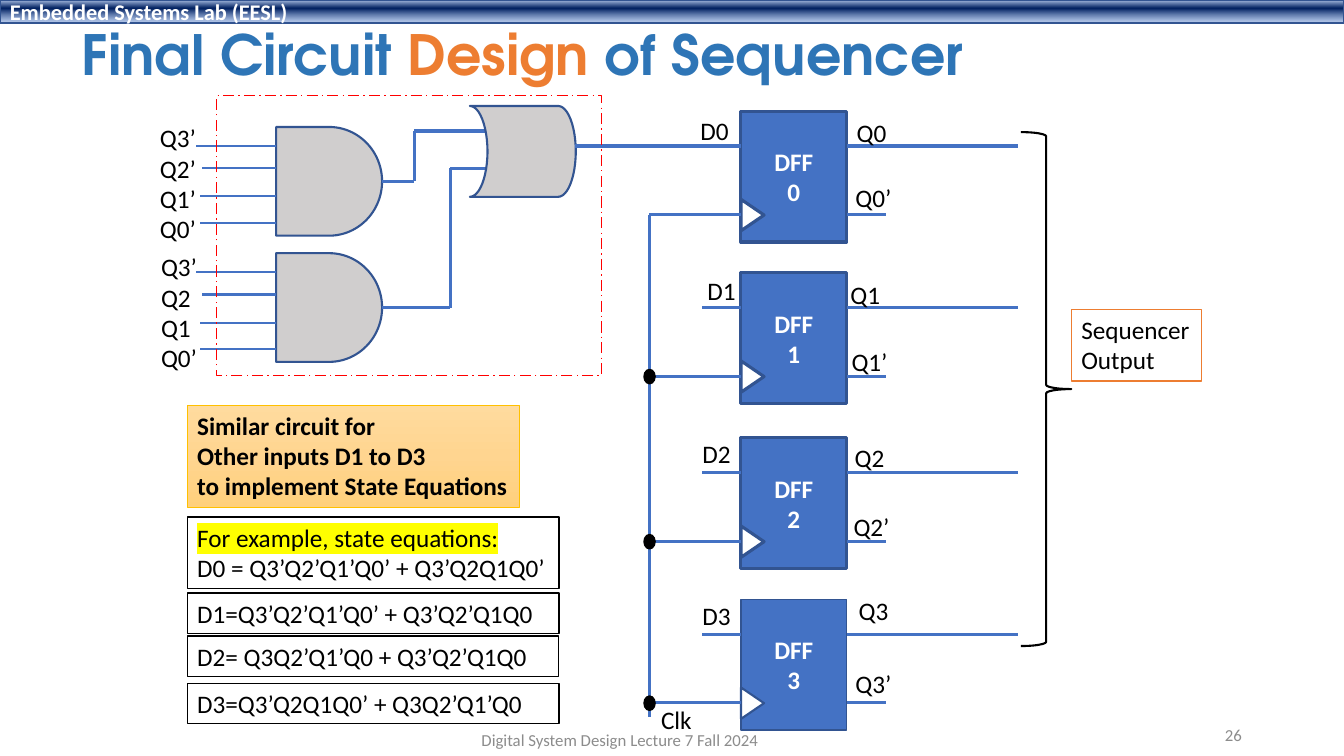
from copy import deepcopy
from lxml.etree import SubElement
from pptx import Presentation
from pptx.dml.color import RGBColor
from pptx.enum.dml import MSO_LINE
from pptx.enum.shapes import MSO_CONNECTOR, MSO_SHAPE
from pptx.enum.text import MSO_ANCHOR, MSO_AUTO_SIZE, PP_ALIGN
from pptx.oxml.ns import qn
from pptx.util import Cm, Pt

COLORS = {
    "wire": "4472C4", "edge": "325491", "gate": "D0CECE", "black": "000000",
    "white": "FFFFFF", "red": "FF0000", "orange": "ED7D31", "title": "2E75B6",
    "gold": "FFC000", "gray": "8C8C8C", "yellow": "FFFF00",
    "header_top": "ABC0E4", "header_mid": "002060", "header_low": "7E9ED6",
    "note_top": "FFDB9E", "note_mid": "FFD590", "note_low": "FFD07C",
}
RGB = {name: RGBColor.from_string(value) for name, value in COLORS.items()}
BODY = {"name": "Calibri", "size": Pt(18), "bold": False}
STRONG = {**BODY, "bold": True}
HEADER = {**STRONG, "size": Pt(16)}
SMALL = {**BODY, "size": Pt(12)}
TITLE = {"name": "TeX Gyre Adventor", "size": Pt(39.6), "bold": True}

prs = Presentation()
prs.slide_width, prs.slide_height = Cm(33.87), Cm(19.05)
slide = prs.slides.add_slide(prs.slide_layouts[5])


def place(geometry, box, lines=(), fill=None, outline=None, weight=1, font=BODY,
          color="black", align=PP_ALIGN.LEFT, anchor=MSO_ANCHOR.TOP, wrap=False):
    box = [Cm(length) for length in box]
    if geometry is None:
        part = slide.shapes.add_textbox(*box)
    else:
        part = slide.shapes.add_shape(geometry, *box)
    part.shadow.inherit = False
    if fill:
        part.fill.solid()
        part.fill.fore_color.rgb = RGB[fill]
    else:
        part.fill.background()
    if outline:
        part.line.color.rgb = RGB[outline]
        part.line.width = Pt(weight)
    else:
        part.line.fill.background()
    frame = part.text_frame
    frame.word_wrap = wrap
    frame.vertical_anchor = anchor
    if lines:
        frame.auto_size = MSO_AUTO_SIZE.NONE if wrap else MSO_AUTO_SIZE.SHAPE_TO_FIT_TEXT
    for index, line in enumerate(lines):
        paragraph = frame.add_paragraph() if index else frame.paragraphs[0]
        paragraph.alignment = align
        run = paragraph.add_run()
        run.text = line
        run.font.color.rgb = RGB[color]
        for attribute, value in font.items():
            setattr(run.font, attribute, value)
    return part


def wire(x1, y1, x2, y2, weight=2.25):
    link = slide.shapes.add_connector(MSO_CONNECTOR.STRAIGHT, Cm(x1), Cm(y1), Cm(x2), Cm(y2))
    link.line.color.rgb = RGB["wire"]
    link.line.width = Pt(weight)
    SubElement(link._element.spPr, qn("a:effectLst"))
    return link


header = place(MSO_SHAPE.RECTANGLE, (0, 0, 33.87, 0.58), ["Embedded Systems Lab (EESL)"],
               outline="edge", font=HEADER, color="white", anchor=MSO_ANCHOR.MIDDLE, wrap=True)

title = slide.shapes.title
title.left, title.top, title.width, title.height = Cm(1.8), Cm(0.43), Cm(25.73), Cm(2.06)
title.text_frame.auto_size = MSO_AUTO_SIZE.NONE
title.text_frame.vertical_anchor = MSO_ANCHOR.MIDDLE
heading = title.text_frame.paragraphs[0]
heading.alignment = PP_ALIGN.LEFT
heading.line_spacing = 0.9
for words, color in (("Final Circuit ", "title"), ("Design ", "orange"), ("of Sequencer", "title")):
    run = heading.add_run()
    run.text = words
    run.font.color.rgb = RGB[color]
    for attribute, value in TITLE.items():
        setattr(run.font, attribute, value)

for gate_top, label_left, label_top, inputs, bend_x, or_y in (
    (3.2, 3.78, 2.97, ["Q3’", "Q2’", "Q1’", "Q0’"], 10.44, 3.3),
    (6.38, 3.81, 6.22, ["Q3’", "Q2", "Q1", "Q0’"], 11.35, 4.24),
):
    and_gate = place(MSO_SHAPE.FLOWCHART_DELAY, (6.96, gate_top, 2.67, 2.74),
                     fill="gate", outline="edge", weight=1.5)
    for start, drop in ((4.95, 0.48), (5.08, 1.04), (5.05, 1.75), (5.05, 2.41)):
        wire(6.96, gate_top + drop, start, gate_top + drop, 1.5)
    place(None, (label_left, label_top, 1.42, 3.33), inputs)
    middle = gate_top + 1.37
    wire(9.63, middle, bend_x, middle).begin_connect(and_gate, 3)
    wire(bend_x, middle, bend_x, or_y)
    wire(bend_x, or_y, 12.24, or_y)

or_gate = place(MSO_SHAPE.FLOWCHART_STORED_DATA, (11.84, 2.67, 2.67, 2.29),
                fill="gate", outline="edge", weight=1.5)
or_gate.rotation = 180
wire(14.5, 3.68, 18.31, 3.68)
logic_border = place(MSO_SHAPE.RECTANGLE, (5.46, 2.41, 9.7, 7.06), outline="red")
logic_border.line.dash_style = MSO_LINE.LONG_DASH_DOT

wire(16.36, 5.41, 16.36, 18.08)
for number, (data_y, edge, tip_edge) in enumerate(
    ((3.68, 2.25, 2.25), (7.75, 2.25, 2.25), (11.91, 2.25, 2.25), (15.98, 1, 1.5))
):
    clock_y = data_y + 1.73
    place(MSO_SHAPE.RECTANGLE, (18.67, data_y - 0.88, 2.67, 3.3), ["DFF", str(number)],
          fill="wire", outline="edge", weight=edge, font=STRONG, color="white",
          align=PP_ALIGN.CENTER, anchor=MSO_ANCHOR.MIDDLE, wrap=True)
    clock_tip = place(MSO_SHAPE.ISOSCELES_TRIANGLE, (18.57, clock_y - 0.28, 0.79, 0.58),
                      fill="white", outline="edge", weight=tip_edge)
    clock_tip.rotation = 90
    for start, end, y in ((17.7, 18.67, data_y), (17.7, 18.67, clock_y),
                          (21.34, 22.33, data_y), (21.34, 22.33, clock_y),
                          (25.65, 22.33, data_y), (17.7, 16.36, clock_y)):
        wire(start, y, end, y)
    if number:
        place(MSO_SHAPE.OVAL, (16.23, clock_y - 0.17, 0.28, 0.36), fill="black", outline="black")

for label, left, top, width in (
    ("D0", 17.4, 2.77, 1.24), ("Q0", 21.34, 2.82, 1.27), ("Q0’", 21.31, 4.47, 1.42),
    ("D1", 17.58, 6.81, 1.24), ("Q1", 21.18, 6.91, 1.27), ("Q1’", 21.21, 8.59, 1.42),
    ("D2", 17.45, 10.92, 1.24), ("Q2", 21.29, 11.02, 1.27), ("Q2’", 21.26, 12.75, 1.42),
    ("D3", 17.45, 15.01, 1.24), ("Q3", 21.39, 14.88, 1.27), ("Q3’", 21.31, 16.71, 1.42),
    ("Clk", 16.41, 17.63, 1.3),
):
    place(None, (left, top, width, 1.02), [label])

place(MSO_SHAPE.RIGHT_BRACE, (25.73, 3.33, 1.27, 12.95), outline="black", weight=1.5)
place(MSO_SHAPE.RECTANGLE, (27, 7.8, 3.28, 1.8), ["Sequencer", "Output"],
      fill="white", outline="orange")

note = place(MSO_SHAPE.RECTANGLE, (4.72, 10.21, 8.38, 2.57),
             ["Similar circuit for", "Other inputs D1 to D3", "to implement State Equations"],
             outline="gold", weight=0.5, font=STRONG)
for banner, shades in (
    (header, ((0.02, "header_top"), (0.38, "header_mid"), (0.93, "header_low"))),
    (note, ((0, "note_top"), (0.5, "note_mid"), (1, "note_low"))),
):
    banner.fill.gradient()
    banner.fill.gradient_angle = 270
    stops = banner._element.spPr.find(".//" + qn("a:gsLst"))
    stops.append(deepcopy(stops[-1]))
    for stop, (position, shade) in zip(banner.fill.gradient_stops, shades):
        stop.position = position
        stop.color.rgb = RGB[shade]
low_shade = header._element.spPr.find(".//" + qn("a:gsLst"))[-1][0]
SubElement(low_shade, qn("a:alpha"), val="64000")

for top, width, height, equation in (
    (13.03, 9.37, 1.8, ["For example, state equations:", "D0 = Q3’Q2’Q1’Q0’ + Q3’Q2Q1Q0’"]),
    (14.94, 9.37, 1.02, ["D1=Q3’Q2’Q1’Q0’ + Q3’Q2’Q1Q0"]),
    (16.03, 9.35, 1.02, ["D2= Q3Q2’Q1’Q0 + Q3’Q2’Q1Q0"]),
    (17.22, 9.37, 1.02, ["D3=Q3’Q2Q1Q0’ + Q3Q2’Q1’Q0"]),
):
    equation_box = place(MSO_SHAPE.RECTANGLE, (4.72, top, width, height), equation,
                         fill="white", outline="black")
    if len(equation) > 1:
        lead = equation_box.text_frame.paragraphs[0].runs[0]
        ink = lead._r.rPr.find(qn("a:solidFill"))
        highlight = SubElement(lead._r.rPr, qn("a:highlight"))
        SubElement(highlight, qn("a:srgbClr"), val=COLORS["yellow"])
        ink.addnext(highlight)

for words, box, align in (
    ("26", (23.93, 18.01, 7.62, 1.02), PP_ALIGN.RIGHT),
    ("Digital System Design Lecture 7 Fall 2024", (9.91, 18.26, 11.43, 0.79), PP_ALIGN.CENTER),
):
    place(None, box, [words], font=SMALL, color="gray", align=align,
          anchor=MSO_ANCHOR.MIDDLE, wrap=True)

prs.save("out.pptx")
